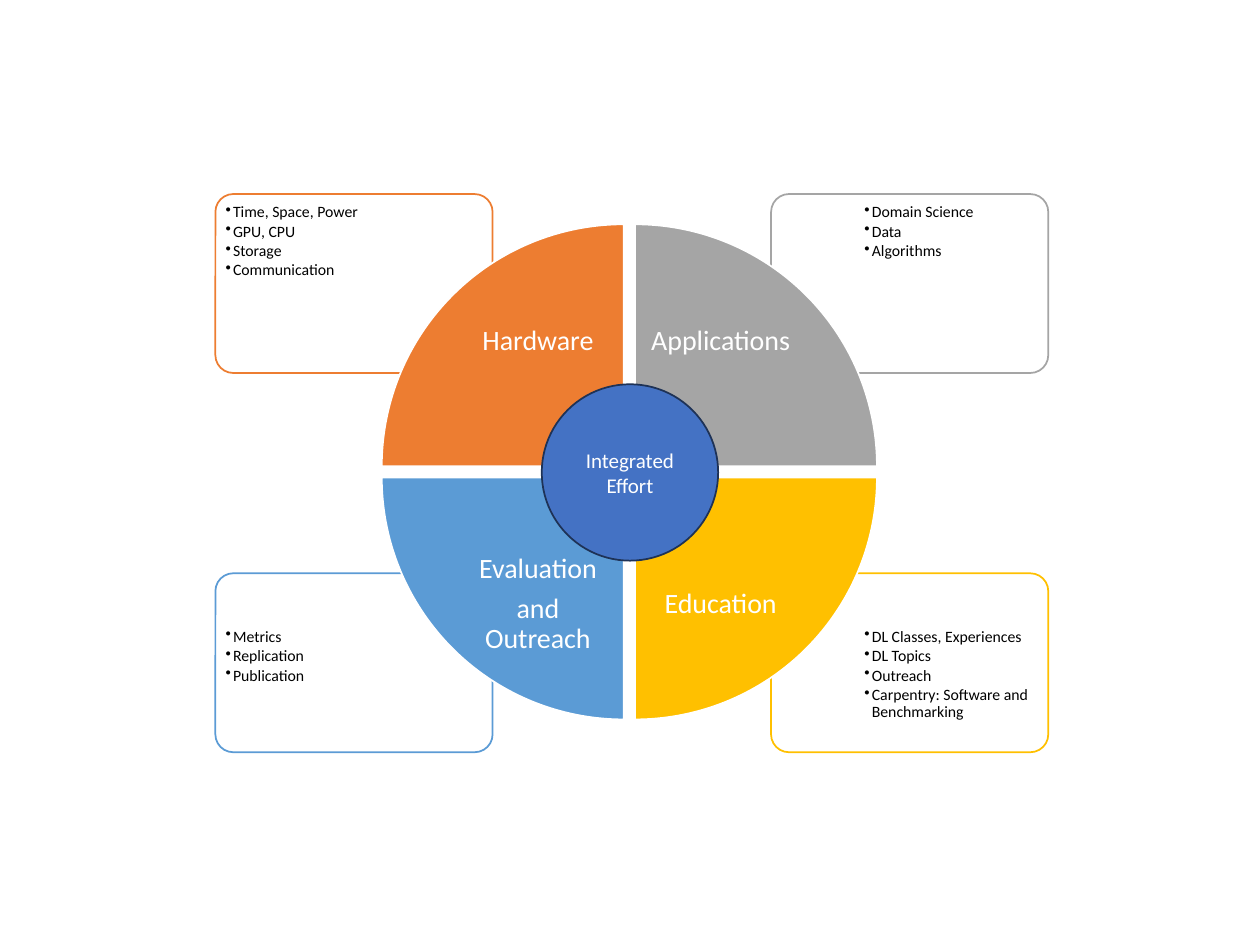
from lxml.etree import SubElement
from pptx import Presentation
from pptx.dml.color import RGBColor
from pptx.enum.shapes import MSO_SHAPE as Shape
from pptx.enum.text import MSO_ANCHOR as Anchor, PP_ALIGN as Align
from pptx.oxml.ns import qn
from pptx.util import Inches, Pt

WHITE = RGBColor(0xFF, 0xFF, 0xFF)
BLACK = RGBColor(0x00, 0x00, 0x00)
ORANGE = RGBColor(0xED, 0x7D, 0x31)
GRAY = RGBColor(0xA5, 0xA5, 0xA5)
GOLD = RGBColor(0xFF, 0xC0, 0x00)
SKY = RGBColor(0x5B, 0x9B, 0xD5)
BLUE = RGBColor(0x44, 0x72, 0xC4)
NAVY = RGBColor(0x1E, 0x32, 0x56)

# Grid of 100 columns by 75 rows; pairs below are (first, second) column or row
COLUMNS, ROWS = 100, 75
CARD_LEFT, CARD_TOP = (17.1, 61.2), (15.4, 45.5)
CARD_WIDTH, CARD_HEIGHT = 22, 14.2
LIST_LEFT, LIST_TOP = (17.4, 68.1), (15.7, 49.4)
LIST_WIDTH, LIST_HEIGHT = 14.7, 10
WEDGE_LEFT, WEDGE_TOP = (30.3, 50.4), (17.8, 37.9)
WEDGE = 19.2
LABEL_LEFT, LABEL_TOP = (35.9, 50.4), (20.3, 41.2)
LABEL = 13.6
HUB = 14

# column, row, turn of the wedge, colour, label lines, list items
QUADRANTS = [
    (1, 1, 180, GOLD, ["Education"],
     ["DL Classes, Experiences", "DL Topics", "Outreach",
      "Carpentry: Software and Benchmarking"]),
    (0, 1, 270, SKY, ["Evaluation", "and\vOutreach"],
     ["Metrics", "Replication", "Publication"]),
    (1, 0, 90, GRAY, ["Applications"],
     ["Domain Science", "Data", "Algorithms"]),
    (0, 0, 0, ORANGE, ["Hardware"],
     ["Time, Space, Power", "GPU, CPU", "Storage", "Communication"]),
]


def write(frame, lines, size, color, align=Align.CENTER, anchor=Anchor.MIDDLE,
          inset=0.1, spacing=1.0, after=0, bullet=False):
    """Fill a text frame with one paragraph per line; \\v breaks a line."""
    frame.word_wrap = True
    frame.vertical_anchor = anchor
    frame.margin_left = frame.margin_right = Inches(inset)
    frame.margin_top = frame.margin_bottom = Inches(inset)
    for index, line in enumerate(lines):
        para = frame.add_paragraph() if index else frame.paragraphs[0]
        para.text = line
        para.alignment = align
        para.line_spacing = spacing
        para.space_after = Pt(after)
        for span in para.runs:
            span.font.name = "Calibri"
            span.font.size = Pt(size)
            span.font.color.rgb = color
        if bullet:
            properties = para._p.get_or_add_pPr()
            properties.set("marL", str(Inches(0.06)))
            properties.set("indent", str(-Inches(0.06)))
            SubElement(properties, qn("a:buChar"), char="•")


class Diagram:
    """Holds the deck's style and the current slide."""

    def __init__(self, deck):
        self.column = deck.slide_width / COLUMNS
        self.row = deck.slide_height / ROWS
        self.slide = deck.slides.add_slide(deck.slide_layouts[6])

    def place(self, left, top, width, height):
        return (round(left * self.column), round(top * self.row),
                round(width * self.column), round(height * self.row))

    def shape(self, kind, area, fill, line):
        shape = self.slide.shapes.add_shape(kind, *self.place(*area))
        shape.shadow.inherit = False
        shape.fill.solid()
        shape.fill.fore_color.rgb = fill
        shape.line.color.rgb = line
        shape.line.width = Pt(1)
        return shape

    def text(self, area, lines, **style):
        box = self.slide.shapes.add_textbox(*self.place(*area))
        write(box.text_frame, lines, **style)

    def card(self, column, row, color, items):
        area = CARD_LEFT[column], CARD_TOP[row], CARD_WIDTH, CARD_HEIGHT
        card = self.shape(Shape.ROUNDED_RECTANGLE, area, WHITE, color)
        card.adjustments[0] = 0.1
        tint = card._element.spPr.find(qn("a:solidFill"))[0]
        SubElement(tint, qn("a:alpha"), val="90000")
        self.text((LIST_LEFT[column], LIST_TOP[row], LIST_WIDTH, LIST_HEIGHT),
                  items, size=9, color=BLACK, align=Align.LEFT,
                  anchor=Anchor.TOP, inset=0.05, spacing=0.9, after=1.35,
                  bullet=True)

    def wedge(self, column, row, turn, color, label):
        area = WEDGE_LEFT[column], WEDGE_TOP[row], WEDGE, WEDGE
        self.shape(Shape.PIE_WEDGE, area, color, WHITE).rotation = turn
        self.text((LABEL_LEFT[column], LABEL_TOP[row], LABEL, LABEL), label,
                  size=16, color=WHITE, inset=0.12, spacing=0.9, after=5.6)

    def hub(self, lines):
        area = (COLUMNS - HUB) / 2, (ROWS - HUB) / 2, HUB, HUB
        hub = self.shape(Shape.OVAL, area, BLUE, NAVY)
        write(hub.text_frame, lines, size=12, color=WHITE)


def main():
    deck = Presentation()
    deck.slide_width, deck.slide_height = Inches(10), Inches(7.5)
    diagram = Diagram(deck)
    for column, row, _, color, _, items in QUADRANTS:
        diagram.card(column, row, color, items)
    for column, row, turn, color, label, _ in QUADRANTS:
        diagram.wedge(column, row, turn, color, label)
    diagram.hub(["Integrated", "Effort"])
    deck.save("out.pptx")


if __name__ == "__main__":
    main()
